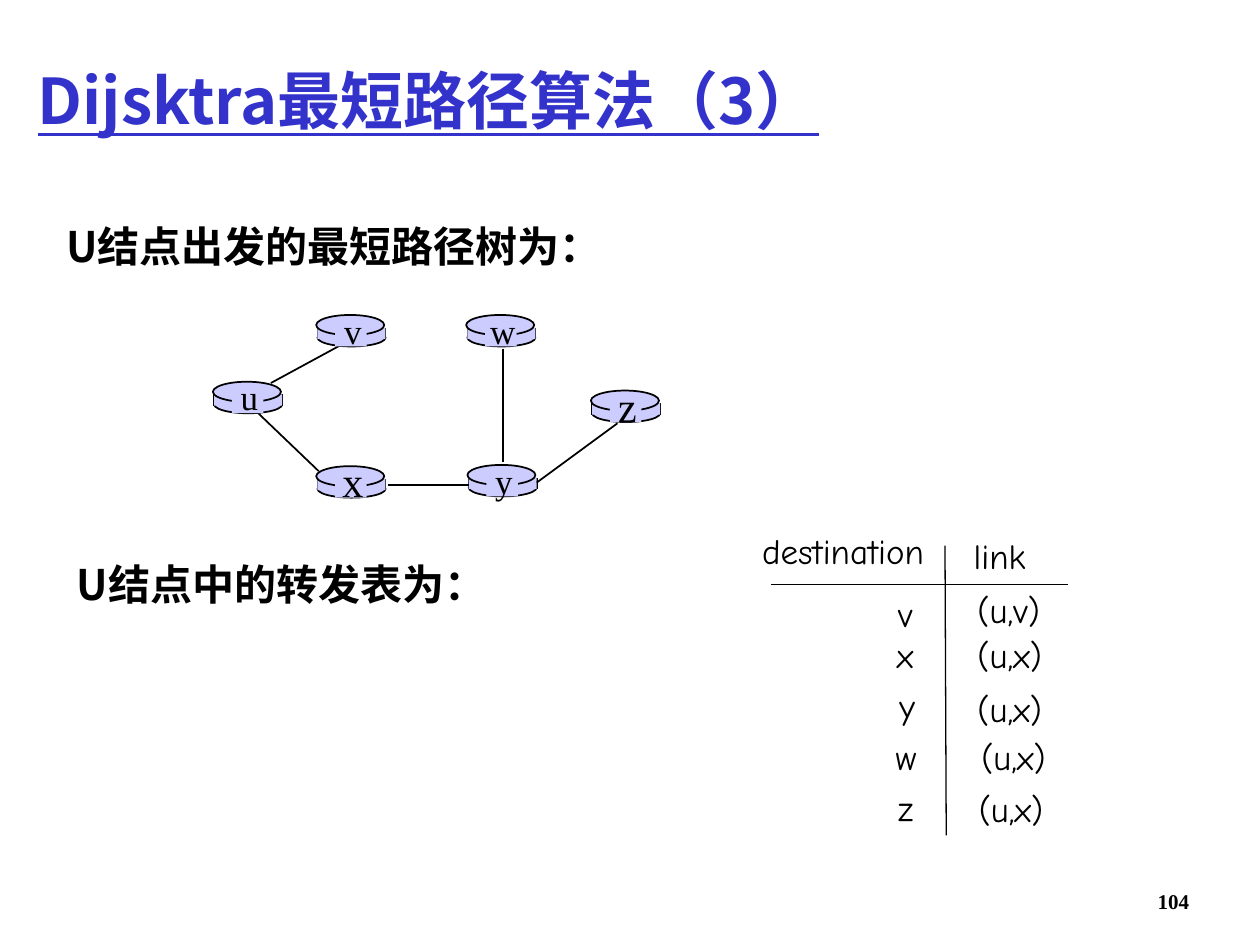
from dataclasses import dataclass

import pptx
import pptx.dml.color
import pptx.enum.shapes
import pptx.enum.text
import pptx.oxml
import pptx.oxml.ns
import pptx.util
from pptx.util import Inches

BLACK = pptx.dml.color.RGBColor(0x00, 0x00, 0x00)
LAVENDER = pptx.dml.color.RGBColor(0xCC, 0xCC, 0xFF)
TITLE_BLUE = pptx.dml.color.RGBColor(0x33, 0x33, 0xCC)

SERIF = "Times New Roman"
HANDWRITTEN = "Comic Neue"
HEADING = "Noto Sans CJK JP"
TITLE_FONT = "Noto Sans CJK SC"

OVAL = pptx.enum.shapes.MSO_SHAPE.OVAL
RECTANGLE = pptx.enum.shapes.MSO_SHAPE.RECTANGLE
LEFT = pptx.enum.text.PP_ALIGN.LEFT
CENTER = pptx.enum.text.PP_ALIGN.CENTER


@dataclass
class Router:
    name: str
    left: float
    top: float
    size: int = 20


@dataclass
class Line:
    x1: float
    y1: float
    x2: float
    y2: float
    width: float = 1


@dataclass
class Label:
    text: str
    left: float
    top: float
    width: float
    height: float = 0.44
    size: int = 20
    font: str = HANDWRITTEN
    bold: bool = False
    align: int = LEFT


ROUTERS = [
    Router("u", 1.69, 3.03),
    Router("x", 2.51, 3.70, 24),
    Router("v", 2.51, 2.50),
    Router("w", 3.70, 2.50),
    Router("y", 3.71, 3.69),
    Router("z", 4.69, 3.10, 24),
]
TREE_EDGES = [
    Line(2.15, 3.04, 2.74, 2.72),
    Line(3.99, 2.77, 3.99, 3.67),
    Line(4.26, 3.83, 4.90, 3.36),
    Line(3.72, 3.85, 3.08, 3.85),
    Line(2.53, 3.74, 2.05, 3.28),
]
TABLE_RULES = [
    Line(7.50, 4.33, 7.51, 6.63, 0.75),
    Line(6.12, 4.64, 8.48, 4.64, 0.75),
]
FORWARDING_TABLE = [
    Label("destination", 5.95, 4.15, 1.66), Label("link", 7.63, 4.19, 0.66),
    Label("v", 7.03, 4.65, 0.34), Label("(u,v)", 7.66, 4.62, 0.77),
    Label("x", 7.02, 4.98, 0.37), Label("(u,x)", 7.66, 4.98, 0.80),
    Label("y", 7.04, 5.38, 0.35), Label("(u,x)", 7.66, 5.41, 0.80),
    Label("w", 7.01, 5.79, 0.39), Label("(u,x)", 7.69, 5.79, 0.80),
    Label("z", 7.03, 6.19, 0.35), Label("(u,x)", 7.67, 6.20, 0.80),
]
HEADINGS = [
    Label("U结点出发的最短路径树为：", 0.43, 1.70, 4.49, 0.5, 24, HEADING, True),
    Label("U结点中的转发表为：", 0.51, 4.38, 3.48, 0.5, 24, HEADING, True),
]
PAGE_NUMBER = Label("104", 9.09, 7.0, 0.74, 0.5, 12, SERIF, True)


def format_runs(paragraph, font: str, size: int, color, bold: bool) -> None:
    for run in paragraph.runs:
        run.font.name = font
        run.font.size = pptx.util.Pt(size)
        run.font.bold = bold
        run.font.color.rgb = color
        east_asian = pptx.oxml.parse_xml(
            f'<a:ea {pptx.oxml.ns.nsdecls("a")} typeface="{font}"/>')
        run.font._element.find(pptx.oxml.ns.qn("a:latin")).addnext(east_asian)


def add_label(shapes, label: Label) -> None:
    box = shapes.add_textbox(Inches(label.left), Inches(label.top),
                             Inches(label.width), Inches(label.height))
    frame = box.text_frame
    frame.text = label.text
    frame.word_wrap = False
    frame.auto_size = pptx.enum.text.MSO_AUTO_SIZE.SHAPE_TO_FIT_TEXT
    paragraph = frame.paragraphs[0]
    paragraph.alignment = label.align
    format_runs(paragraph, label.font, label.size, BLACK, label.bold)


def add_line(shapes, line: Line) -> None:
    connector = shapes.add_connector(
        pptx.enum.shapes.MSO_CONNECTOR.STRAIGHT,
        Inches(line.x1), Inches(line.y1), Inches(line.x2), Inches(line.y2))
    connector.line.color.rgb = BLACK
    connector.line.width = pptx.util.Pt(line.width)
    connector._element.spPr.append(pptx.oxml.parse_xml(
        f'<a:effectLst {pptx.oxml.ns.nsdecls("a")}/>'))


def add_block(shapes, preset, left: float, top: float, width: float,
              height: float, outlined: bool) -> None:
    shape = shapes.add_shape(preset, Inches(left), Inches(top),
                             Inches(width), Inches(height))
    shape.shadow.inherit = False
    shape.fill.solid()
    shape.fill.fore_color.rgb = LAVENDER
    if outlined:
        shape.line.color.rgb = BLACK
        shape.line.width = pptx.util.Pt(1)
    else:
        shape.line.fill.background()


def add_router_body(shapes, router: Router) -> None:
    """Draw a flat cylinder: base, two sides, filling and lid."""
    left, side_top = router.left + 0.01, router.top + 0.1
    add_block(shapes, OVAL, left, side_top + 0.01, 0.54, 0.14, True)
    for x in (left, left + 0.54):
        add_line(shapes, Line(x, side_top, x, side_top + 0.09))
    add_block(shapes, RECTANGLE, left, side_top, 0.54, 0.09, False)
    add_block(shapes, OVAL, router.left, router.top, 0.54, 0.16, True)


def add_router_name(shapes, router: Router) -> None:
    add_block(shapes, RECTANGLE, router.left + 0.15, router.top + 0.02,
              0.25, 0.23, False)
    height = 0.5 if router.size == 24 else 0.43
    add_label(shapes, Label(router.name, router.left + 0.09,
                            router.top + 0.12 - height / 2, 0.4, height,
                            router.size, SERIF, align=CENTER))


def set_title(title) -> None:
    title.left, title.top = Inches(0.2), Inches(0.29)
    title.width, title.height = Inches(8.52), Inches(1)
    frame = title.text_frame
    frame.text = "Dijsktra最短路径算法（3）"
    frame.auto_size = pptx.enum.text.MSO_AUTO_SIZE.NONE
    frame.vertical_anchor = pptx.enum.text.MSO_ANCHOR.MIDDLE
    paragraph = frame.paragraphs[0]
    paragraph.alignment = LEFT
    format_runs(paragraph, TITLE_FONT, 36, TITLE_BLUE, True)
    paragraph.runs[0].font.underline = True


def main() -> None:
    presentation = pptx.Presentation()
    presentation.slide_width, presentation.slide_height = Inches(10), Inches(7.5)
    slide = presentation.slides.add_slide(presentation.slide_layouts[5])
    set_title(slide.shapes.title)

    tree = slide.shapes.add_group_shape().shapes
    for router in ROUTERS:
        add_router_body(tree, router)
    for edge in TREE_EDGES:
        add_line(tree, edge)
    for router in ROUTERS:
        add_router_name(tree, router)

    table = slide.shapes.add_group_shape().shapes
    for rule in TABLE_RULES:
        add_line(table, rule)
    for cell in FORWARDING_TABLE:
        add_label(table, cell)

    for label in [*HEADINGS, PAGE_NUMBER]:
        add_label(slide.shapes, label)
    presentation.save("out.pptx")


if __name__ == "__main__":
    main()
